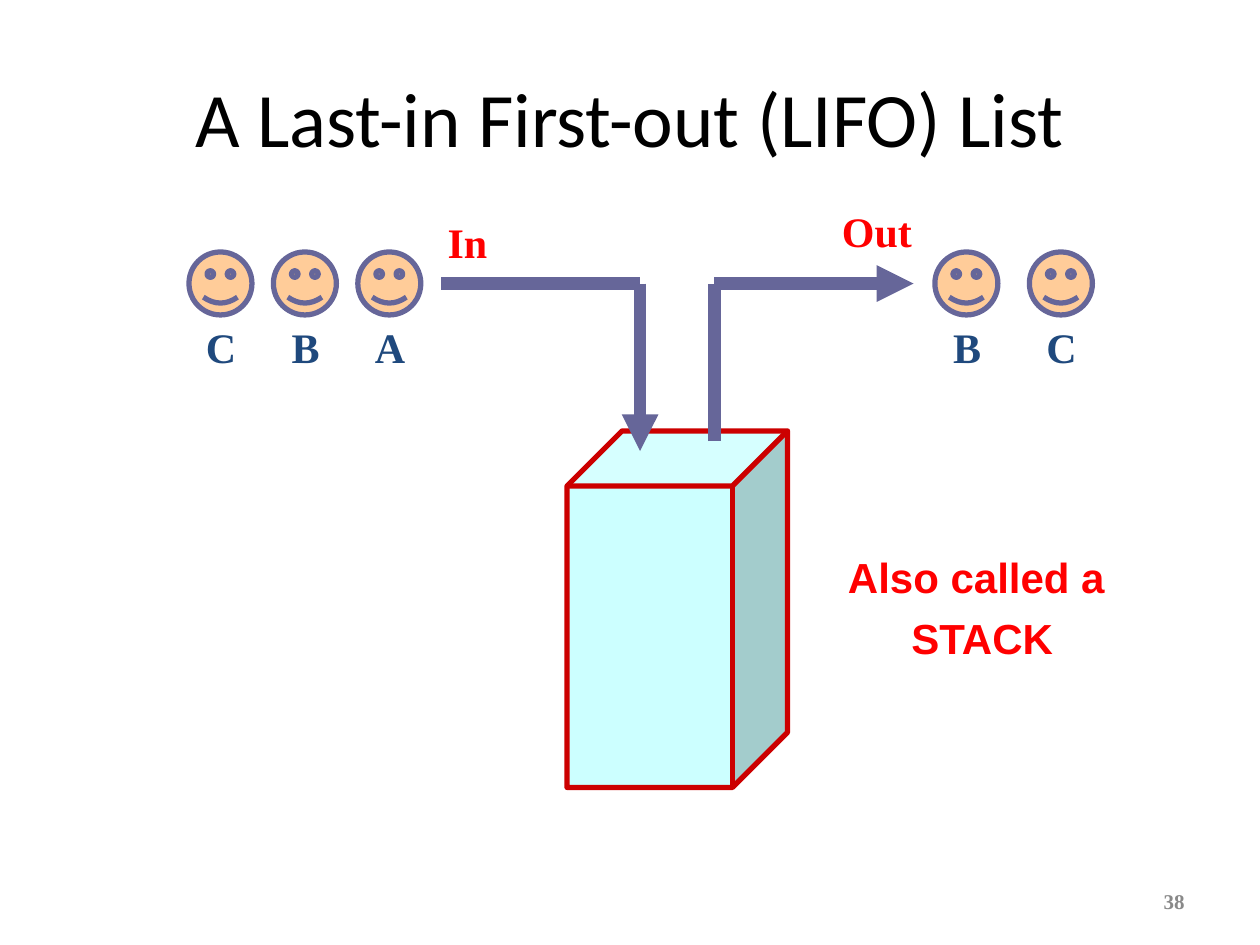
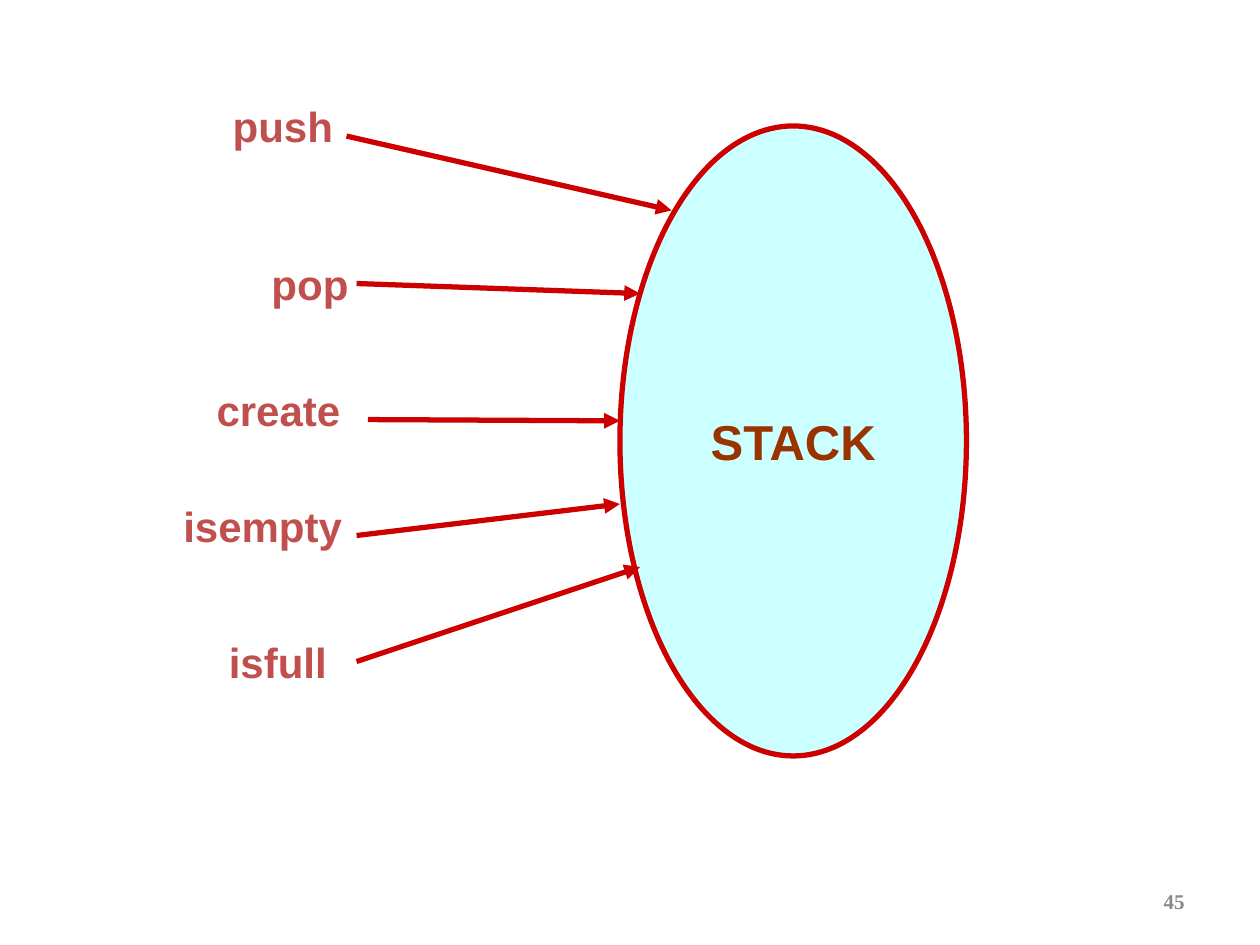
from lxml.etree import SubElement
from pptx import Presentation
from pptx.dml.color import RGBColor
from pptx.enum.shapes import MSO_CONNECTOR, MSO_SHAPE
from pptx.enum.text import MSO_ANCHOR, PP_ALIGN
from pptx.oxml.ns import qn
from pptx.util import Inches, Pt

COLORS = {
    "title": "000000",
    "number": "898989",
    "container": "CCFFFF",
    "outline": "CC0000",
    "path": "666699",
    "face": "FFCC99",
    "person": "1F497D",
    "note": "FF0000",
    "operation": "C0504D",
    "stack": "993300",
}
SERIF, SANS, TITLE_FONT = "Times New Roman", "Arial", "Calibri"
TITLE_ONLY, BLANK = 5, 6


def color(name):
    return RGBColor.from_string(COLORS[name])


def write(para, text, font, size, color_name, bold=True, align=PP_ALIGN.CENTER):
    para.alignment = align
    span = para.add_run()
    span.text = text
    span.font.name = font
    span.font.size = Pt(size)
    span.font.bold = bold
    span.font.color.rgb = color(color_name)


def add_label(shapes, place, lines, font, color_name, size=24,
              align=PP_ALIGN.CENTER, anchor=MSO_ANCHOR.TOP):
    box = shapes.add_textbox(*map(Inches, place))
    frame = box.text_frame
    frame.word_wrap = True
    frame.vertical_anchor = anchor
    for index, line in enumerate(lines):
        para = frame.add_paragraph() if index else frame.paragraphs[0]
        if index:
            para.space_before = Pt(6)
        write(para, line, font, size, color_name, align=align)


def add_outlined(shapes, kind, place, fill, line):
    shape = shapes.add_shape(kind, *map(Inches, place))
    shape.shadow.inherit = False
    shape.fill.solid()
    shape.fill.fore_color.rgb = color(fill)
    shape.line.color.rgb = color(line)
    shape.line.width = Pt(3)
    return shape


def add_line(page, start, end, color_name, width, arrow=True):
    line = page.shapes.add_connector(
        MSO_CONNECTOR.STRAIGHT, *map(Inches, (*start, *end)))
    line.line.color.rgb = color(color_name)
    line.line.width = Pt(width)
    properties = line._element.spPr
    if arrow:
        SubElement(properties.find(qn("a:ln")), qn("a:tailEnd"), type="triangle")
    SubElement(properties, qn("a:effectLst"))


def add_bent_arrow(page, start, corner, end):
    add_line(page, start, corner, "path", 7, arrow=False)
    add_line(page, corner, end, "path", 7)


def add_person(page, left, name):
    """Draw a face with its letter below, as one group."""
    group = page.shapes.add_group_shape()
    add_outlined(group.shapes, MSO_SHAPE.SMILEY_FACE, (left, 2, 0.5, 0.5), "face", "path")
    add_label(group.shapes, (left - 0.08, 2.5, 0.67, 0.5), [name], SERIF, "person")


def add_page(deck, layout, number):
    page = deck.slides.add_slide(deck.slide_layouts[layout])
    add_label(page.shapes, (7.17, 6.95, 2.33, 0.4), [number], SERIF, "number", size=12,
              align=PP_ALIGN.RIGHT, anchor=MSO_ANCHOR.MIDDLE)
    return page


def set_title(page, text):
    title = page.shapes.title
    title.left, title.top, title.width, title.height = map(Inches, (0.5, 0.3, 9, 1.25))
    title.text_frame.vertical_anchor = MSO_ANCHOR.MIDDLE
    write(title.text_frame.paragraphs[0], text, TITLE_FONT, 44, "title", bold=False)


def build_lifo_page(deck):
    page = add_page(deck, TITLE_ONLY, "38")
    set_title(page, "A Last-in First-out (LIFO) List")
    add_outlined(page.shapes, MSO_SHAPE.CUBE, (4.5, 3.42, 1.75, 2.83),
                 "container", "outline")
    add_bent_arrow(page, (3.5, 2.25), (5.08, 2.25), (5.08, 3.58))
    add_bent_arrow(page, (5.67, 3.5), (5.67, 2.25), (7.25, 2.25))
    add_label(page.shapes, (3.25, 1.67, 0.92, 0.5), ["In"], SERIF, "note")
    add_label(page.shapes, (6.5, 1.58, 0.92, 0.5), ["Out"], SERIF, "note")
    for first_left, step, names in ((1.5, 0.67, "CBA"), (7.42, 0.75, "BC")):
        for index, name in enumerate(names):
            add_person(page, first_left + index * step, name)
    add_label(page.shapes, (6.42, 4.33, 2.75, 0.99), ["Also called a ", "STACK"],
              SANS, "note")


def build_operations_page(deck):
    page = add_page(deck, BLANK, "45")
    stack = add_outlined(page.shapes, MSO_SHAPE.OVAL, (4.92, 1, 2.75, 5),
                         "container", "outline")
    stack.text_frame.word_wrap = False
    stack.text_frame.vertical_anchor = MSO_ANCHOR.MIDDLE
    write(stack.text_frame.paragraphs[0], "STACK", SANS, 28, "stack")

    # name, label left, top and width, arrow start, arrow end
    operations = (
        ("push", 1.58, 0.75, 1.33, (2.75, 1.08), (5.33, 1.67)),
        ("pop", 1.67, 2, 1.58, (2.83, 2.25), (5.08, 2.33)),
        ("create", 1.5, 3, 1.42, (2.92, 3.33), (4.92, 3.34)),
        ("isempty", 1.25, 3.92, 1.67, (2.83, 4.25), (4.92, 4)),
        ("isfull", 1.58, 5, 1.25, (2.83, 5.25), (5.08, 4.5)),
    )
    for name, left, top, width, start, end in operations:
        add_line(page, start, end, "outline", 3)
        add_label(page.shapes, (left, top, width, 0.5), [name], SANS, "operation")


def main():
    deck = Presentation()
    deck.slide_width, deck.slide_height = Inches(10), Inches(7.5)
    build_lifo_page(deck)
    build_operations_page(deck)
    deck.save("out.pptx")


if __name__ == "__main__":
    main()
